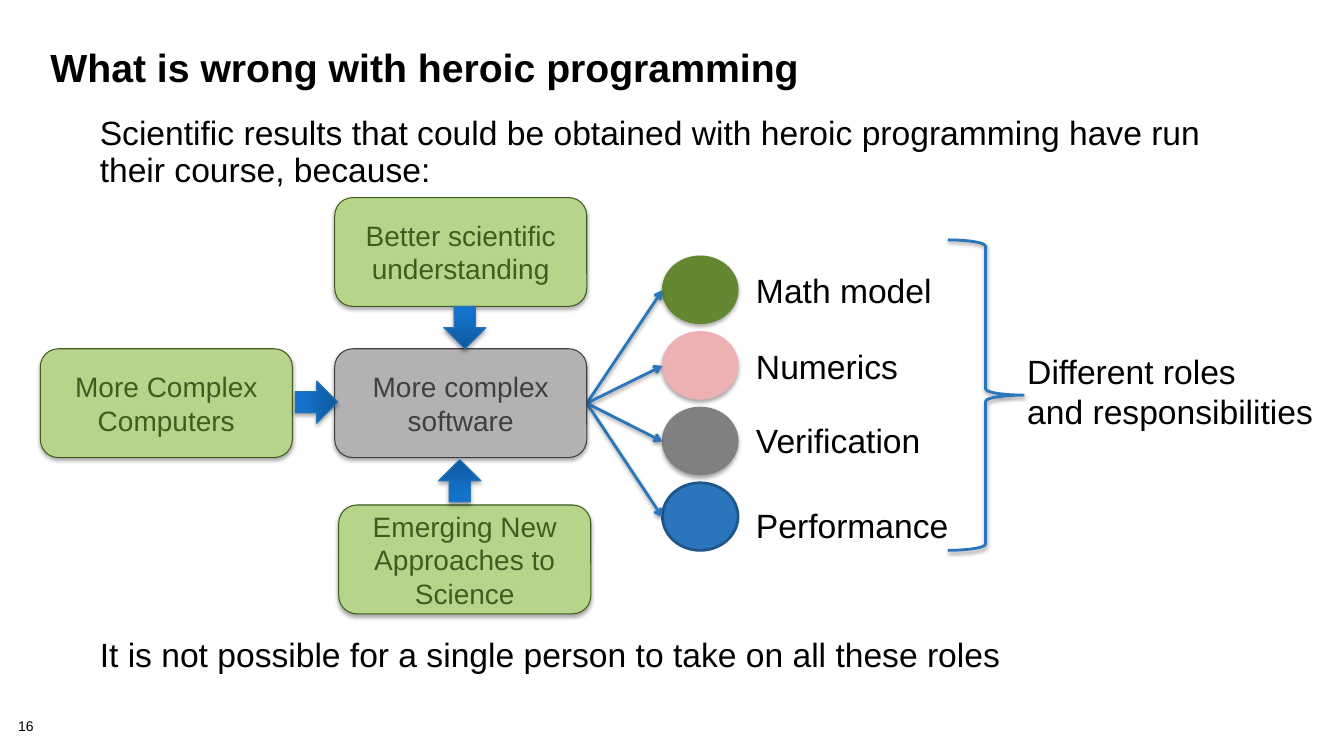
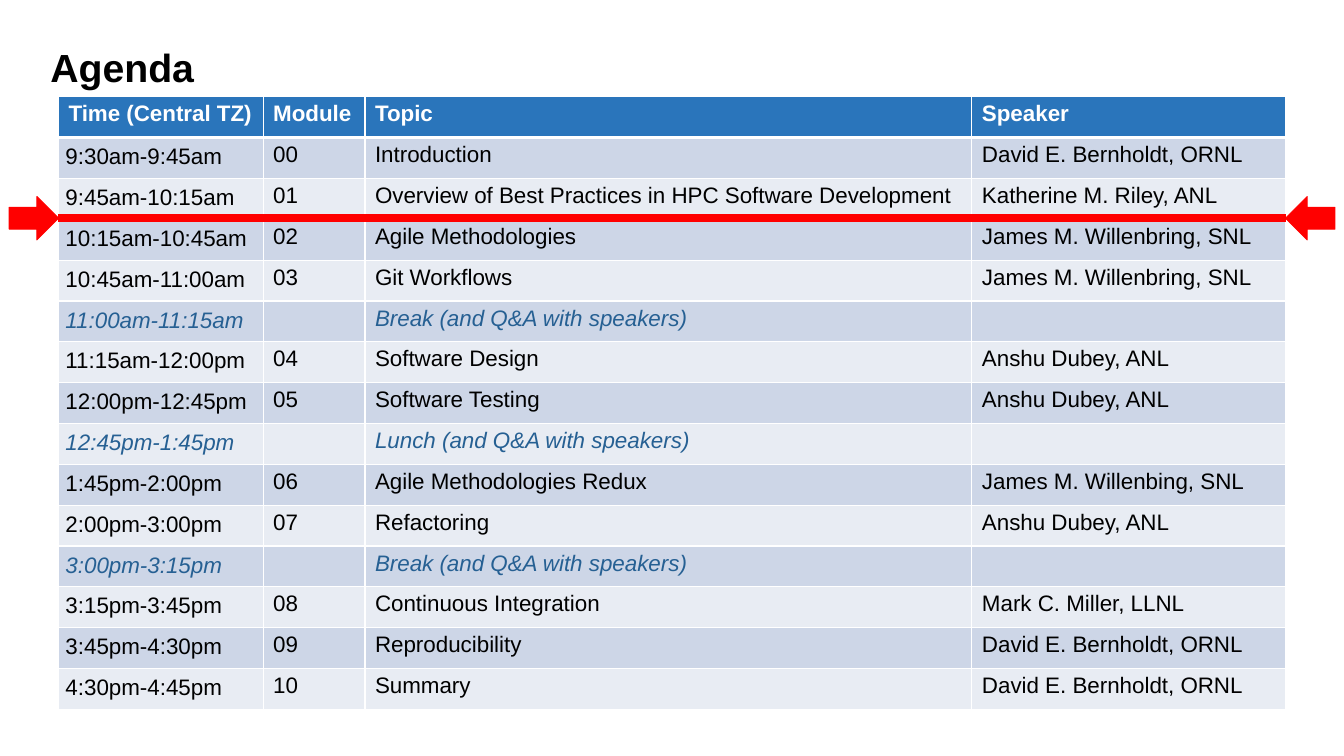
from lxml import etree
from pptx import Presentation
from pptx import util as u
from pptx.dml.color import RGBColor
from pptx.enum import shapes, text
from pptx.oxml import ns

FONT = "Arial"
COLORS = {
    "black": "000000",
    "white": "FFFFFF",
    "red": "FF0000",
    "blue": "2A75BB",
    "dark_blue": "1F578A",
    "break_blue": "266093",
    "arrow_edge": "2673BA",
    "arrow_dark": "0F589C",
    "arrow_light": "1472CA",
    "light_green": "B6D58B",
    "dark_green": "425B20",
    "green": "638831",
    "pink": "EDB0B3",
    "gray": "808080",
    "light_gray": "B2B2B2",
    "dark_gray": "404040",
    "odd_row": "CDD6E7",
    "even_row": "E8ECF3",
}
ROLES = [
    ("Math model", 2.63, "green", "green", 0.75),
    ("Numerics", 3.38, "pink", "pink", 0.75),
    ("Verification", 4.12, "gray", "gray", 0.75),
    ("Performance", 4.96, "blue", "dark_blue", 2),
]
AGENDA = [
    ("Time (Central TZ)", "Module", "Topic", "Speaker"),
    ("9:30am-9:45am", "00", "Introduction", "David E. Bernholdt, ORNL"),
    ("9:45am-10:15am", "01", "Overview of Best Practices in HPC Software Development",
     "Katherine M. Riley, ANL"),
    ("10:15am-10:45am", "02", "Agile Methodologies", "James M. Willenbring, SNL"),
    ("10:45am-11:00am", "03", "Git Workflows", "James M. Willenbring, SNL"),
    ("11:00am-11:15am", "", "Break (and Q&A with speakers)", ""),
    ("11:15am-12:00pm", "04", "Software Design", "Anshu Dubey, ANL"),
    ("12:00pm-12:45pm", "05", "Software Testing", "Anshu Dubey, ANL"),
    ("12:45pm-1:45pm", "", "Lunch (and Q&A with speakers)", ""),
    ("1:45pm-2:00pm", "06", "Agile Methodologies Redux", "James M. Willenbing, SNL"),
    ("2:00pm-3:00pm", "07", "Refactoring", "Anshu Dubey, ANL"),
    ("3:00pm-3:15pm", "", "Break (and Q&A with speakers)", ""),
    ("3:15pm-3:45pm", "08", "Continuous Integration", "Mark C. Miller, LLNL"),
    ("3:45pm-4:30pm", "09", "Reproducibility", "David E. Bernholdt, ORNL"),
    ("4:30pm-4:45pm", "10", "Summary", "David E. Bernholdt, ORNL"),
]
COLUMN_WIDTHS = [2.03, 1.01, 6.02, 3.11]


def rgb(color):
    return RGBColor.from_string(COLORS[color])


def add_element(parent, tag, **attributes):
    return etree.SubElement(parent, ns.qn(tag), attributes)


def place(shape, left, top, width, height):
    shape.left, shape.top = u.Inches(left), u.Inches(top)
    shape.width, shape.height = u.Inches(width), u.Inches(height)


def style_paragraph(paragraph, size, color="black", bold=False, italic=False):
    font = paragraph.font
    font.name, font.size = FONT, u.Pt(size)
    font.bold, font.italic = bold, italic
    font.color.rgb = rgb(color)


def add_shadow(effects, opacity, distance):
    shadow = add_element(effects, "a:outerShdw", blurRad=str(u.Pt(3.1)),
                         dist=str(u.Pt(distance)), dir="5400000", rotWithShape="0")
    color = add_element(shadow, "a:srgbClr", val=COLORS["black"])
    add_element(color, "a:alpha", val=str(opacity * 1000))


def add_slide(presentation, layout_index, title):
    slide = presentation.slides.add_slide(presentation.slide_layouts[layout_index])
    shape = slide.shapes.title
    place(shape, 0.4, 0.45, 12.44, 1)
    frame = shape.text_frame
    frame.text = title
    frame.vertical_anchor = text.MSO_ANCHOR.TOP
    frame.auto_size = text.MSO_AUTO_SIZE.NONE
    paragraph = frame.paragraphs[0]
    paragraph.alignment = text.PP_ALIGN.LEFT
    paragraph.line_spacing = 0.85
    style_paragraph(paragraph, 28, bold=True)
    return slide


def fill_body(slide, lines, gap):
    body = slide.placeholders[1]
    place(body, 0.89, 1.11, 11.16, 5.2)
    frame = body.text_frame
    frame.text = "\n".join(lines)
    frame.auto_size = text.MSO_AUTO_SIZE.NONE
    for index, paragraph in enumerate(frame.paragraphs):
        properties = paragraph._p.get_or_add_pPr()
        properties.set("marL", "0")
        properties.set("indent", "0")
        add_element(properties, "a:buNone")
        paragraph.line_spacing = 0.9
        paragraph.space_before = u.Pt(gap if index else 0)
        style_paragraph(paragraph, 24)


def add_label(slide, words, left, top, width, height, size=24, inset=None):
    box = slide.shapes.add_textbox(0, 0, 0, 0)
    place(box, left, top, width, height)
    frame = box.text_frame
    frame.text = words
    frame.word_wrap = True
    if inset is not None:
        frame.margin_left = frame.margin_right = u.Inches(inset)
        frame.margin_top = frame.margin_bottom = u.Inches(inset)
    for paragraph in frame.paragraphs:
        style_paragraph(paragraph, size)


def add_shape(slide, kind, box, fill, line, line_width=0.75, shadow=None):
    shape = slide.shapes.add_shape(kind, 0, 0, 0, 0)
    place(shape, *box)
    if fill:
        shape.fill.solid()
        shape.fill.fore_color.rgb = rgb(fill)
    else:
        shape.fill.background()
    shape.line.color.rgb = rgb(line)
    shape.line.width = u.Pt(line_width)
    shape.shadow.inherit = False
    if shadow:
        add_shadow(shape._element.spPr.find(ns.qn("a:effectLst")), *shadow)
    return shape


def add_cause(slide, words, left, top, fill="light_green", ink="dark_green"):
    shape = add_shape(slide, shapes.MSO_SHAPE.ROUNDED_RECTANGLE,
                      (left, top, 2.5, 1.08), fill, ink, shadow=(35, 1.8))
    frame = shape.text_frame
    frame.text = words
    frame.word_wrap = True
    frame.vertical_anchor = text.MSO_ANCHOR.MIDDLE
    paragraph = frame.paragraphs[0]
    paragraph.alignment = text.PP_ALIGN.CENTER
    style_paragraph(paragraph, 20, ink)


def add_block_arrow(slide, left, top, rotation):
    arrow = add_shape(slide, shapes.MSO_SHAPE.DOWN_ARROW, (left, top, 0.42, 0.42),
                      "arrow_light", "arrow_edge", shadow=(35, 1.8))
    arrow.rotation = rotation
    arrow.fill.gradient()
    arrow.fill.gradient_angle = 90
    stops = zip(arrow.fill.gradient_stops, ("arrow_dark", "arrow_light"), (0, 0.8))
    for stop, color, position in stops:
        stop.color.rgb = rgb(color)
        stop.position = position


def add_line(slide, start, end, color, width, arrow=False, shadow=None):
    points = [u.Inches(value) for value in (*start, *end)]
    line = slide.shapes.add_connector(shapes.MSO_CONNECTOR.STRAIGHT, *points)
    line.line.color.rgb = rgb(color)
    line.line.width = u.Pt(width)
    if arrow:
        add_element(line.line._get_or_add_ln(), "a:tailEnd", type="arrow")
    effects = add_element(line._element.spPr, "a:effectLst")
    if shadow:
        add_shadow(effects, *shadow)


def add_roles(slide):
    for index, (name, label_top, fill, line, width) in enumerate(ROLES):
        top = 2.54 + 0.75 * index
        shadow = (35, 1.8) if fill == line else None
        add_shape(slide, shapes.MSO_SHAPE.OVAL, (6.57, top, 0.75, 0.67),
                  fill, line, width, shadow)
        add_line(slide, (5.82, 4), (6.57, top + 0.34), "blue", 2, True, (38, 1.6))
        add_label(slide, name, 7.4, label_top, 2.23, 0.5)


def set_borders(cell, bottom_width):
    properties = cell._tc.get_or_add_tcPr()
    for side in "LRTB":
        width = bottom_width if side == "B" else 1
        border = add_element(properties, f"a:ln{side}", w=str(u.Pt(width)))
        fill = add_element(border, "a:solidFill")
        add_element(fill, "a:srgbClr", val=COLORS["white"])


def fill_cell(cell, words, row, column, is_break):
    header = row == 0
    cell.text = words
    set_borders(cell, 3 if header else 1)
    cell.fill.solid()
    cell.fill.fore_color.rgb = rgb("blue" if header else "odd_row" if row % 2 else "even_row")
    if column == 0 and not header:
        cell.margin_left = cell.margin_right = u.Inches(0.07)
        cell.margin_top = cell.margin_bottom = u.Inches(0.07)
    ink = "white" if header else "break_blue" if is_break else "black"
    style_paragraph(cell.text_frame.paragraphs[0], 16, ink, header, is_break)


def add_agenda_table(slide):
    frame = slide.shapes.add_table(
        len(AGENDA), len(COLUMN_WIDTHS), u.Inches(0.58), u.Inches(0.96),
        u.Inches(sum(COLUMN_WIDTHS)), u.Inches(6.08))
    table = frame.table
    for column, width in zip(table.columns, COLUMN_WIDTHS):
        column.width = u.Inches(width)
    for row, entries in enumerate(AGENDA):
        for column, words in enumerate(entries):
            fill_cell(table.cell(row, column), words, row, column, not entries[1])


def build_heroic_slide(presentation):
    slide = add_slide(presentation, 1, "What is wrong with heroic programming")
    fill_body(slide, [
        "Scientific results that could be obtained with heroic programming "
        "have run their course, because:",
        "It is not possible for a single person to take on all these roles",
    ], gap=321)
    add_label(slide, "16", 0.18, 7.12, 0.56, 0.16, size=10, inset=0)
    add_label(slide, "Different roles\nand responsibilities", 10.09, 3.43, 3.17, 0.91)
    add_shape(slide, shapes.MSO_SHAPE.RIGHT_BRACE, (9.4, 2.38, 0.75, 3.08),
              None, "blue", 2, (38, 1.6))
    add_roles(slide)
    add_cause(slide, "Better scientific understanding", 3.32, 1.96)
    add_cause(slide, "More complex software", 3.32, 3.46, "light_gray", "dark_gray")
    add_cause(slide, "More Complex Computers", 0.4, 3.46)
    add_cause(slide, "Emerging New Approaches to Science", 3.36, 5.01)
    for left, top, rotation in ((4.4, 3.04, 0), (2.93, 3.78, 270), (4.35, 4.56, 180)):
        add_block_arrow(slide, left, top, rotation)


def build_agenda_slide(presentation):
    slide = add_slide(presentation, 5, "Agenda")
    add_agenda_table(slide)
    add_line(slide, (0.58, 2.16), (12.75, 2.16), "red", 6)
    for left, rotation in ((0.09, 0), (12.75, 180)):
        arrow = add_shape(slide, shapes.MSO_SHAPE.RIGHT_ARROW,
                          (left, 1.95, 0.49, 0.43), "red", "red")
        arrow.rotation = rotation


def main():
    presentation = Presentation()
    presentation.slide_width = u.Inches(13.33)
    presentation.slide_height = u.Inches(7.5)
    build_heroic_slide(presentation)
    build_agenda_slide(presentation)
    presentation.save("out.pptx")


if __name__ == "__main__":
    main()
